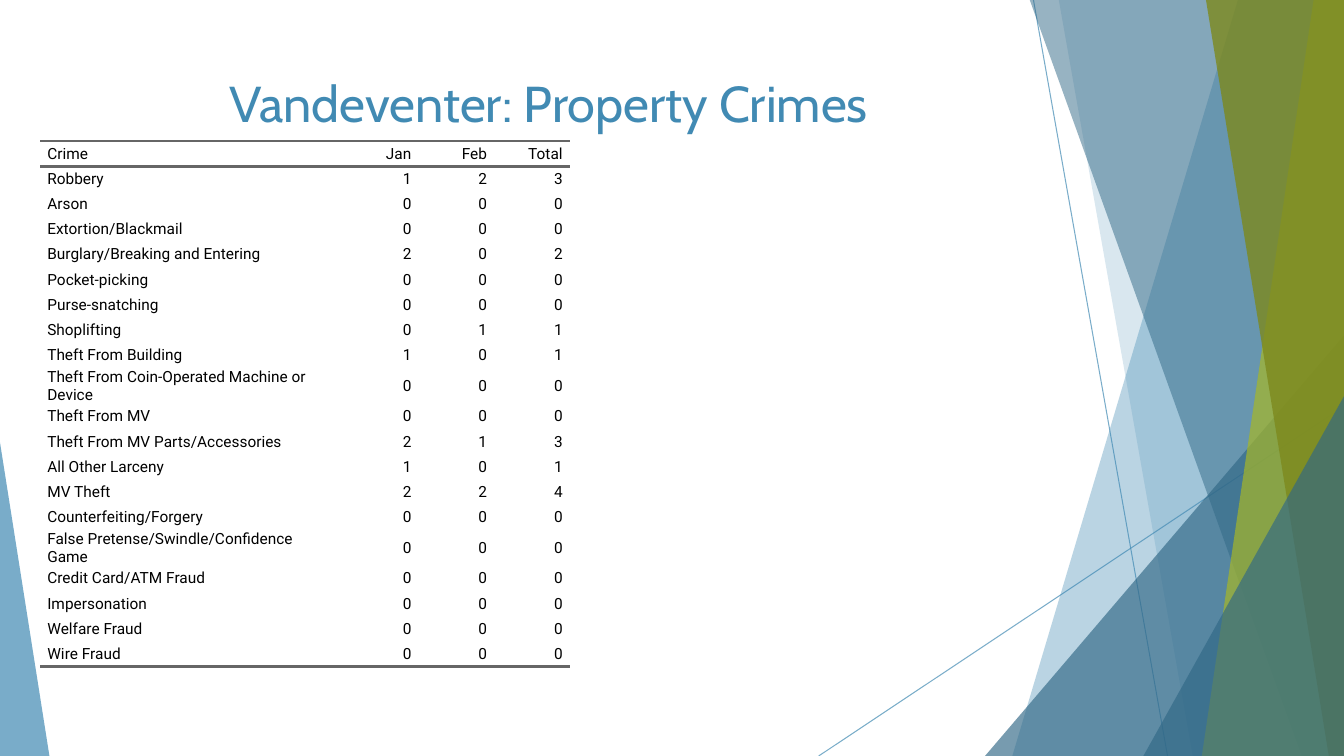
from dataclasses import dataclass

from lxml import etree
from pptx import Presentation
from pptx.dml.color import RGBColor
from pptx.enum.shapes import MSO_CONNECTOR, MSO_SHAPE
from pptx.enum.text import MSO_ANCHOR, PP_ALIGN
from pptx.oxml.ns import qn
from pptx.util import Pt

STRAIGHT = MSO_CONNECTOR.STRAIGHT
TRIANGLE = MSO_SHAPE.ISOSCELES_TRIANGLE
MIDDLE, TOP = MSO_ANCHOR.MIDDLE, MSO_ANCHOR.TOP
LEFT, CENTER, RIGHT = PP_ALIGN.LEFT, PP_ALIGN.CENTER, PP_ALIGN.RIGHT
EMU_PER_PX = 9144  # 100 px to the inch
PAGE_W, PAGE_H = 1333, 750
NO_TABLE_STYLE = "{2D5ABB26-0587-4C30-8999-92F81FD0307C}"


@dataclass(frozen=True)
class Theme:
    blue: str = "418AB3"
    dark_blue: str = "316886"
    green: str = "A6B727"
    dark_green: str = "7D891D"
    rule: str = "666666"
    ink: str = "000000"
    title_font: str = "Cabin"
    table_font: str = "Roboto"
    title_size: int = 36
    table_size: int = 11
    thin_line: float = 0.75
    rule_width: int = 2
    cell_indent: int = 5


THEME = Theme()

COLUMN_WIDTHS = (300, 75, 75, 75)
ROW_HEIGHT = 25
CRIMES = (
    ("Robbery", 1, 2),
    ("Arson", 0, 0),
    ("Extortion/Blackmail", 0, 0),
    ("Burglary/Breaking and Entering", 2, 0),
    ("Pocket-picking", 0, 0),
    ("Purse-snatching", 0, 0),
    ("Shoplifting", 0, 1),
    ("Theft From Building", 1, 0),
    ("Theft From Coin-Operated Machine or Device", 0, 0),
    ("Theft From MV", 0, 0),
    ("Theft From MV Parts/Accessories", 2, 1),
    ("All Other Larceny", 1, 0),
    ("MV Theft", 2, 2),
    ("Counterfeiting/Forgery", 0, 0),
    ("False Pretense/Swindle/Confidence Game", 0, 0),
    ("Credit Card/ATM Fraud", 0, 0),
    ("Impersonation", 0, 0),
    ("Welfare Fraud", 0, 0),
    ("Wire Fraud", 0, 0),
)


def px(*lengths):
    return [length * EMU_PER_PX for length in lengths]


def set_alpha(properties, percent):
    """Make the first solid colour under the given element translucent."""
    color = next(properties.iter(qn("a:srgbClr")))
    etree.SubElement(color, qn("a:alpha"), val=str(percent * 1000))


def paint(shape, color, alpha):
    shape.shadow.inherit = False
    shape.fill.solid()
    shape.fill.fore_color.rgb = RGBColor.from_string(color)
    shape.line.fill.background()
    set_alpha(shape._element.spPr, alpha)


def add_thin_line(page, start, end):
    line = page.shapes.add_connector(STRAIGHT, *px(*start, *end))
    line.line.color.rgb = RGBColor.from_string(THEME.blue)
    line.line.width = Pt(THEME.thin_line)
    properties = line._element.spPr
    set_alpha(properties, 70)
    etree.SubElement(properties, qn("a:effectLst"))


def add_shard(page, box, top_left, bottom_left, color, alpha):
    """Fill the area from a slanted left edge to the right side of the box."""
    left, top, width, height = box
    right, bottom = left + width, top + height
    outline = page.shapes.build_freeform(left + top_left, top, scale=EMU_PER_PX)
    outline.add_line_segments(
        [(right, top), (right, bottom), (left + bottom_left, bottom)], close=True)
    paint(outline.convert_to_shape(), color, alpha)


def add_triangle(page, box, apex, color, alpha):
    triangle = page.shapes.add_shape(TRIANGLE, *px(*box))
    triangle.adjustments[0] = apex
    paint(triangle, color, alpha)


def add_facets(page, box):
    left, top, width, height = box
    right, bottom = left + width, top + height

    def corner(corner_width, corner_height):
        return right - corner_width, bottom - corner_height, corner_width, corner_height

    add_thin_line(page, (left + 213, top + 1), (left + 346, bottom))
    add_thin_line(page, (right, top + 404), (left, bottom))
    add_shard(page, box, 416, 192, THEME.blue, 36)
    add_shard(page, box, 238, 371, THEME.blue, 20)
    add_triangle(page, corner(356, 417), 1, THEME.dark_blue, 66)
    add_shard(page, box, 209, 479, THEME.dark_blue, 50)
    add_shard(page, box, 491, 380, THEME.green, 70)
    add_shard(page, box, 384, 506, THEME.dark_green, 80)
    add_triangle(page, corner(199, 357), 1, THEME.dark_blue, 66)


def write(para, text, align, font, size, color):
    para.text = text
    para.alignment = align
    for span in para.runs:
        span.font.name = font
        span.font.size = Pt(size)
        span.font.color.rgb = RGBColor.from_string(color)


def add_rule(cell, side):
    """Draw a cell border; call with lnB before lnT to keep schema order."""
    border = etree.Element(qn(f"a:{side}"), w=str(Pt(THEME.rule_width)))
    fill = etree.SubElement(border, qn("a:solidFill"))
    etree.SubElement(fill, qn("a:srgbClr"), val=THEME.rule)
    cell._tc.get_or_add_tcPr().insert(0, border)


def fill_cell(cell, text, align):
    cell.fill.background()
    cell.vertical_anchor = MIDDLE
    cell.margin_left = cell.margin_right = cell.margin_top = cell.margin_bottom = 0
    para = cell.text_frame.paragraphs[0]
    write(para, text, align, THEME.table_font, THEME.table_size, THEME.ink)
    properties = para._p.get_or_add_pPr()
    for side in ("marL", "marR"):
        properties.set(side, str(Pt(THEME.cell_indent)))
    properties.set("indent", "0")


def add_crime_table(page, left, top):
    rows = [("Crime", "Jan", "Feb", "Total")]
    rows += [(crime, jan, feb, jan + feb) for crime, jan, feb in CRIMES]
    size = sum(COLUMN_WIDTHS), ROW_HEIGHT * len(rows)
    frame = page.shapes.add_table(len(rows), len(COLUMN_WIDTHS), *px(left, top, *size))
    table = frame.table
    table.first_row = table.horz_banding = False
    table._tbl.tblPr.find(qn("a:tableStyleId")).text = NO_TABLE_STYLE
    for column, width in zip(table.columns, px(*COLUMN_WIDTHS)):
        column.width = width
    for row_index, values in enumerate(rows):
        for column_index, value in enumerate(values):
            cell = table.cell(row_index, column_index)
            fill_cell(cell, str(value), RIGHT if column_index else LEFT)
            if row_index in (0, len(rows) - 1):
                add_rule(cell, "lnB")
            if row_index == 0:
                add_rule(cell, "lnT")


def add_title(page, box):
    text_frame = page.shapes.add_textbox(*px(*box)).text_frame
    text_frame.word_wrap = True
    text_frame.vertical_anchor = TOP
    write(text_frame.paragraphs[0], "Vandeventer: Property Crimes", CENTER,
          THEME.title_font, THEME.title_size, THEME.blue)


def main():
    deck = Presentation()
    deck.slide_width, deck.slide_height = px(PAGE_W, PAGE_H)
    page = deck.slides.add_slide(deck.slide_layouts[6])
    add_facets(page, (812, -1, 521, 751))
    add_triangle(page, (0, 439, 49, 311), 0, THEME.blue, 70)
    add_crime_table(page, 40, 140)
    add_title(page, (74, 67, 940, 144))
    deck.save("out.pptx")


if __name__ == "__main__":
    main()
